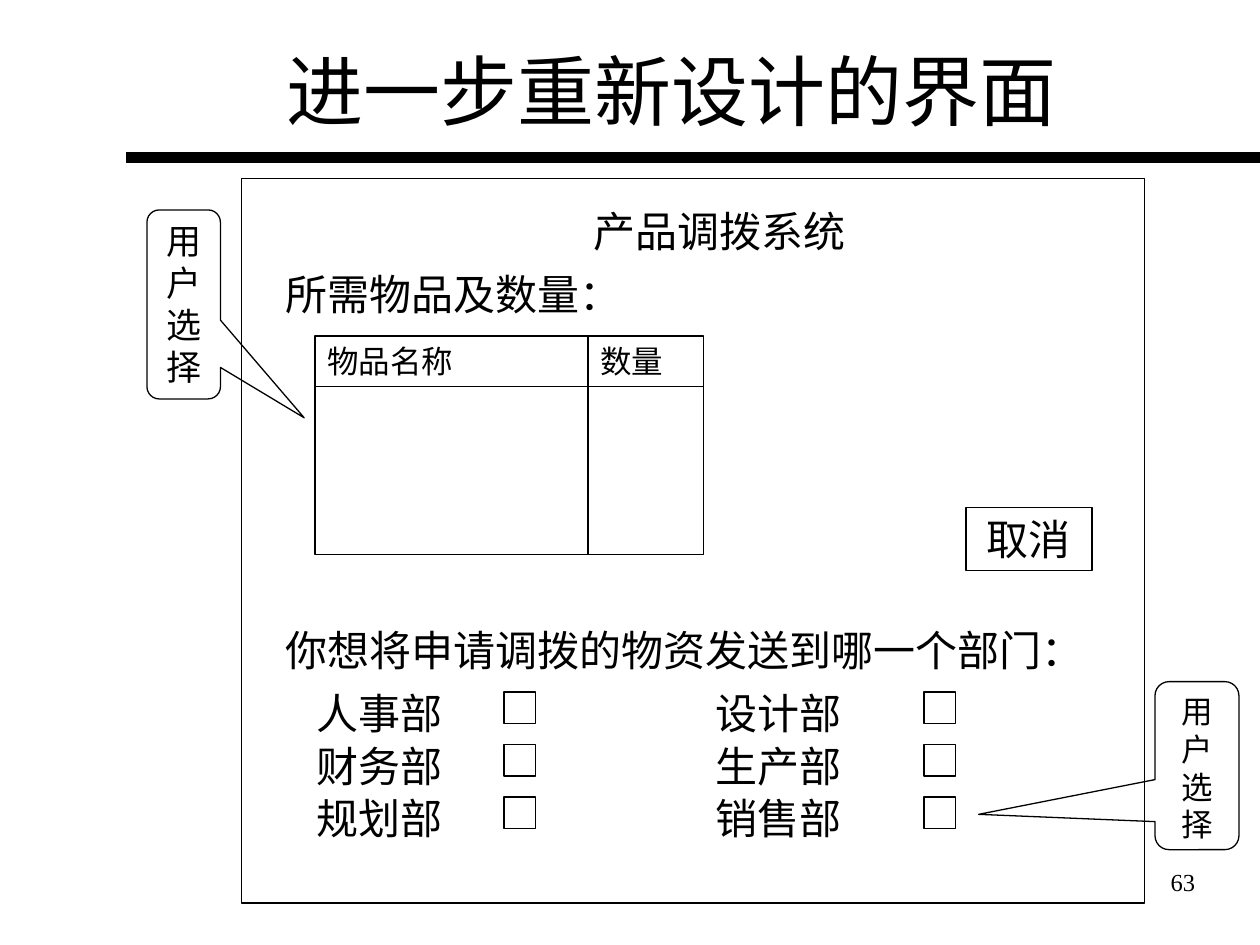
from pptx import Presentation
from pptx.dml.color import RGBColor
from pptx.enum.shapes import MSO_CONNECTOR, MSO_SHAPE as SHAPE
from pptx.enum.text import MSO_ANCHOR as ANCHOR, MSO_AUTO_SIZE, PP_ALIGN as ALIGN
from pptx.oxml.ns import qn
from pptx.util import Pt
from lxml import etree

COLORS = {"ink": "000000"}
FONT = "Times New Roman"
INK = RGBColor.from_string(COLORS["ink"])


def write(shape, text, size, align=ALIGN.LEFT, anchor=ANCHOR.TOP):
    frame = shape.text_frame
    frame.word_wrap = True
    frame.auto_size = MSO_AUTO_SIZE.NONE
    frame.vertical_anchor = anchor
    paragraph = frame.paragraphs[0]
    paragraph.text = text
    paragraph.alignment = align
    paragraph.font.size = Pt(size)
    paragraph.font.name = FONT
    paragraph.font.color.rgb = INK


def outline(kind, left, top, width, height):
    shape = slide.shapes.add_shape(kind, Pt(left), Pt(top), Pt(width), Pt(height))
    shape.shadow.inherit = False
    shape.fill.background()
    shape.line.color.rgb = INK
    shape.line.width = Pt(0.75)
    return shape


prs = Presentation()
prs.slide_width, prs.slide_height = Pt(720), Pt(540)
slide = prs.slides.add_slide(prs.slide_layouts[5])

title = slide.shapes.title
title.left, title.top, title.width, title.height = Pt(78), Pt(6), Pt(612), Pt(90)
write(title, "进一步重新设计的界面", 44, ALIGN.CENTER, ANCHOR.MIDDLE)

labels = [
    ("63", 540, 492, 150, 14, ALIGN.RIGHT),
    ("产品调拨系统", 264, 114, 294, 24, ALIGN.CENTER),
    ("所需物品及数量：", 156, 150, 210, 24, ALIGN.LEFT),
    ("你想将申请调拨的物资发送到哪一个部门：", 156, 353.5, 486, 24, ALIGN.LEFT),
]
for text, left, top, width, size, align in labels:
    label = slide.shapes.add_textbox(Pt(left), Pt(top), Pt(width), Pt(36))
    write(label, text, size, align)

department_columns = [
    (174, 288, ["人事部", "财务部", "规划部"]),
    (402, 528, ["设计部", "生产部", "销售部"]),
]
for name_left, checkbox_left, departments in department_columns:
    for row, department in enumerate(departments):
        name = slide.shapes.add_textbox(
            Pt(name_left), Pt(389.5 + 30 * row), Pt(126), Pt(36))
        write(name, department, 24)
        outline(SHAPE.RECTANGLE, checkbox_left, 395.5 + 30 * row, 18, 18)

for heading, left, width in [("物品名称", 180, 156), ("数量", 336, 66)]:
    outline(SHAPE.RECTANGLE, left, 221, width, 96)
    write(outline(SHAPE.RECTANGLE, left, 192, width, 29), heading, 18)

cancel = outline(SHAPE.RECTANGLE, 552, 290, 72, 36)
write(cancel, "取消", 24, ALIGN.CENTER)

outline(SHAPE.RECTANGLE, 138, 102, 516, 414)

rule = slide.shapes.add_connector(
    MSO_CONNECTOR.STRAIGHT, Pt(72), Pt(90), Pt(720), Pt(90))
rule.line.color.rgb = INK
rule.line.width = Pt(6)
etree.SubElement(rule._element.spPr, qn("a:effectLst"))

callouts = [
    (84, 120, 42, 108, 20, (1.64, 0.6)),
    (660, 389.5, 48, 96, 18, (-2.6, 0.29)),
]
for left, top, width, height, size, tip in callouts:
    callout = outline(SHAPE.ROUNDED_RECTANGULAR_CALLOUT, left, top, width, height)
    callout.adjustments[0], callout.adjustments[1] = tip
    write(callout, "用户选择", size, ALIGN.CENTER)

prs.save("out.pptx")
